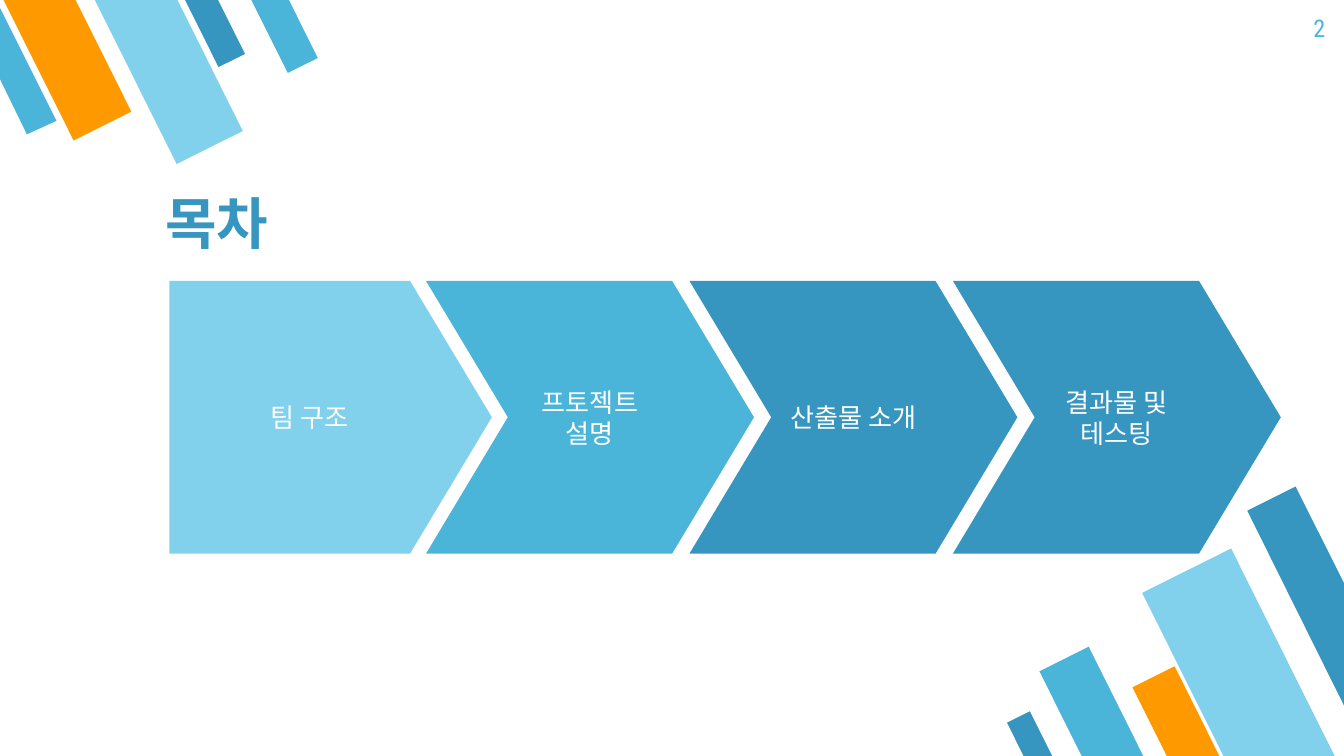
from lxml import etree
from pptx import Presentation
from pptx import util as u
from pptx.dml.color import RGBColor
from pptx.enum import shapes, text
from pptx.oxml.ns import qn

COLORS = {"light": "81D1EC", "mid": "4BB5D9", "deep": "3796BF",
          "orange": "FF9900", "white": "FFFFFF"}
KOREAN, LATIN = "Noto Sans CJK KR", "Roboto Condensed"
SHAPE = shapes.MSO_SHAPE
ALIGN = text.PP_ALIGN
ANCHOR = text.MSO_ANCHOR


def write(tf, content, font=KOREAN, size=14, color="white", bold=False,
          align=ALIGN.CENTER, anchor=ANCHOR.MIDDLE):
    tf.word_wrap = True
    tf.auto_size = text.MSO_AUTO_SIZE.NONE
    tf.vertical_anchor = anchor
    tf.margin_left = tf.margin_right = tf.margin_top = tf.margin_bottom = u.Inches(0.1)
    p = tf.paragraphs[0]
    p.alignment = align
    r = p.add_run()
    r.text = content
    r.font.name, r.font.size, r.font.bold = font, u.Pt(size), bold
    r.font.color.rgb = RGBColor.from_string(COLORS[color])
    # Korean glyphs take their face from the East Asian font slot
    ea = etree.Element(qn("a:ea"), typeface=font)
    r.font._element.find(qn("a:latin")).addnext(ea)


class Deck:
    def __init__(self, width, aspect):
        self.prs = Presentation()
        self.prs.slide_width = u.Inches(width)
        self.prs.slide_height = u.Inches(width / aspect)
        self.slide = None

    def add_slide(self):
        self.slide = self.prs.slides.add_slide(self.prs.slide_layouts[5])

    def paint(self, sp, color):
        sp.shadow.inherit = False
        sp.fill.solid()
        sp.fill.fore_color.rgb = RGBColor.from_string(COLORS[color])
        sp.line.fill.background()

    def shape(self, kind, box, color):
        sp = self.slide.shapes.add_shape(kind, *map(u.Inches, box))
        self.paint(sp, color)
        return sp

    def stripe(self, box, color, rotation):
        sp = self.shape(SHAPE.FLOWCHART_MANUAL_INPUT, box, color)
        sp.rotation = rotation
        sp._element.spPr.find(qn("a:xfrm")).set("flipH", "1")

    def cut_stripe(self, points, color):
        """Draw a stripe that ends flush with the slide edge."""
        start, *rest = [(u.Inches(x), u.Inches(y)) for x, y in points]
        builder = self.slide.shapes.build_freeform(*start)
        builder.add_line_segments(rest, close=True)
        self.paint(builder.convert_to_shape(), color)

    def step(self, kind, box, color, label):
        sp = self.shape(kind, box, color)
        sp.adjustments[0] = 0.3
        write(sp.text_frame, label)

    def title(self, box, content):
        sp = self.slide.shapes.title
        sp.left, sp.top, sp.width, sp.height = map(u.Inches, box)
        write(sp.text_frame, content, size=30, color="deep", bold=True,
              align=ALIGN.LEFT, anchor=ANCHOR.BOTTOM)

    def page_number(self, box, number):
        sp = self.slide.shapes.add_textbox(*map(u.Inches, box))
        write(sp.text_frame, number, font=LATIN, size=13, color="mid",
              align=ALIGN.RIGHT, anchor=ANCHOR.TOP)


TOP_STRIPES = [
    ((1.49, -0.08, 0.22, 0.56), "deep"),
    ((0.26, -0.18, 0.48, 1.18), "orange"),
    ((0.98, -0.2, 0.55, 1.37), "light"),
    ((1.99, -0.1, 0.25, 0.62), "mid"),
]
BOTTOM_STRIPES = [
    ((7.94, 4.85, 0.41, 1.02), "mid"),
    ((8.87, 4.15, 0.74, 1.84), "light"),
    ((8.6, 4.99, 0.35, 0.86), "orange"),
    ((7.59, 5.31, 0.19, 0.48), "deep"),
]
STEPS = [("프토젝트 설명", "mid"), ("산출물 소개", "deep"), ("결과물 및 테스팅", "deep")]
STEP_TOP, STEP_HEIGHT = 2.09, 2.03
CHEVRON_LEFT, CHEVRON_WIDTH, CHEVRON_PITCH = 3.17, 2.44, 1.96


def main():
    deck = Deck(10, 16 / 9)
    deck.add_slide()

    for stripes, rotation in ((TOP_STRIPES, 333.5), (BOTTOM_STRIPES, 153.5)):
        for box, color in stripes:
            deck.stripe(box, color, rotation)
    deck.cut_stripe([(0.2, 1), (0.42, 0.9), (0, 0.06), (0, 0.59)], "mid")
    deck.cut_stripe([(9.64, 3.62), (9.28, 3.8), (10, 5.25), (10, 4.34)], "deep")

    deck.title((1.13, 1.26, 6.3, 0.74), "목차")
    deck.step(SHAPE.PENTAGON, (1.26, STEP_TOP, 2.4, STEP_HEIGHT), "light", "팀 구조")
    for i, (label, color) in enumerate(STEPS):
        left = CHEVRON_LEFT + i * CHEVRON_PITCH
        deck.step(SHAPE.CHEVRON, (left, STEP_TOP, CHEVRON_WIDTH, STEP_HEIGHT), color, label)
    deck.page_number((9.36, 0, 0.6, 0.43), "2")

    deck.prs.save("out.pptx")


if __name__ == "__main__":
    main()
